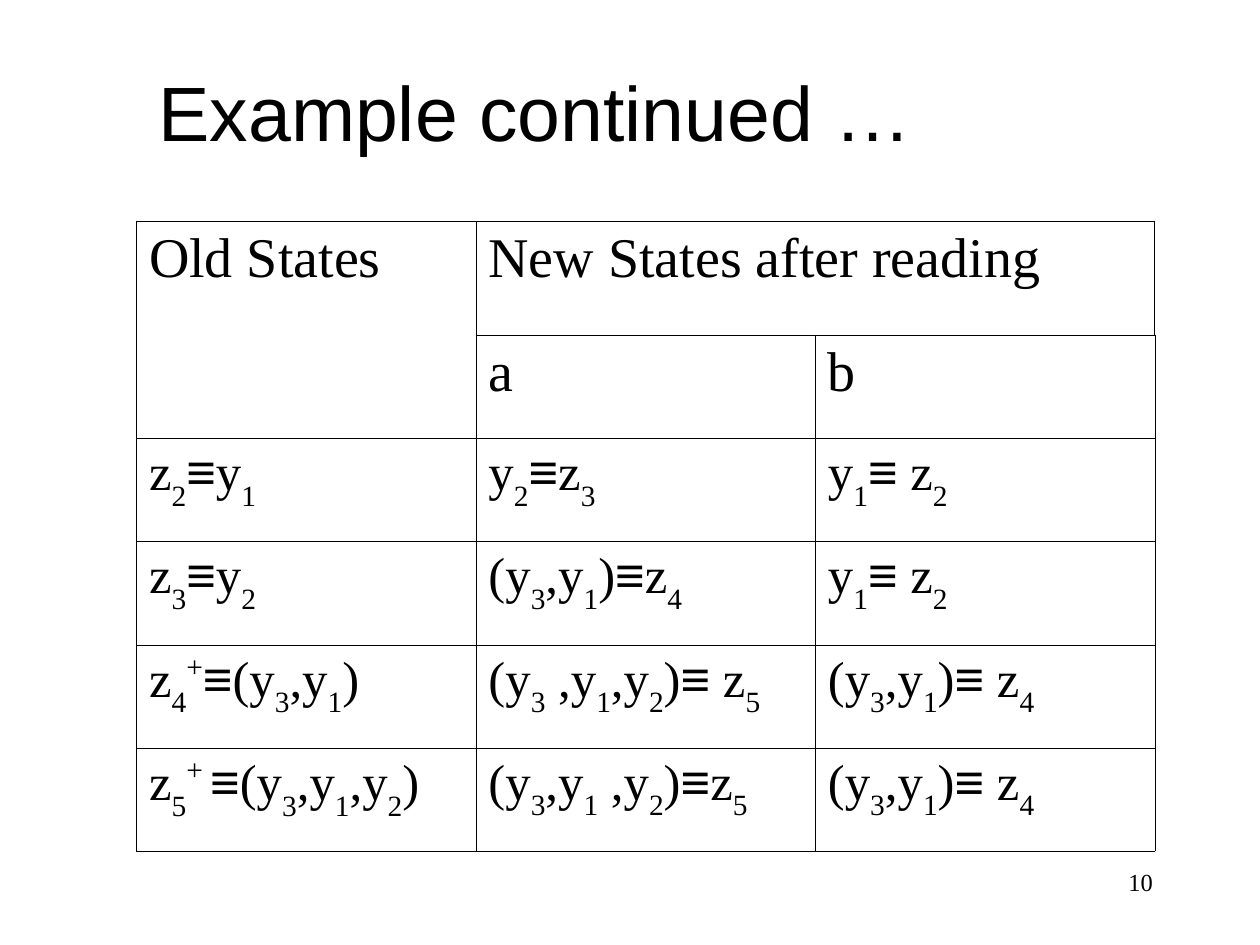
from itertools import product
from lxml.etree import SubElement
from pptx import Presentation
from pptx.dml.color import RGBColor
from pptx.enum.text import MSO_ANCHOR as Anchor, PP_ALIGN as Align
from pptx.oxml.ns import qn
from pptx.util import Cm, Pt

BLACK = RGBColor(0, 0, 0)
SANS, SERIF = "Arial", "Times New Roman"
SUB, SUP = -30000, 40000


def split(text):
    """Cut a formula into [text, baseline, font] parts."""
    parts = []
    for char in text:
        base = SUB if char.isdigit() else SUP if char == "+" else 0
        if char == " " and parts and parts[-1][1] == SUP:
            base = SUP
        font = SANS if char == "≡" else SERIF
        if parts and parts[-1][1:] == [base, font]:
            parts[-1][0] += char
        else:
            parts.append([char, base, font])
    return parts


class Deck:
    def __init__(self, width, height):
        self.prs = Presentation()
        self.prs.slide_width, self.prs.slide_height = Cm(width), Cm(height)
        self.slide = self.prs.slides.add_slide(self.prs.slide_layouts[6])

    def style(self, run, size, font):
        run.font.size, run.font.name = Pt(size), font
        run.font.color.rgb = BLACK

    def text(self, text, box, size, font, align, anchor=Anchor.TOP):
        frame = self.slide.shapes.add_textbox(*map(Cm, box)).text_frame
        frame.word_wrap = True
        frame.vertical_anchor = anchor
        frame.text = text
        para = frame.paragraphs[0]
        para.alignment = align
        self.style(para.runs[0], size, font)

    def border(self, cell, side, width):
        line = SubElement(cell._tc.get_or_add_tcPr(), qn("a:ln" + side),
                          w=str(Pt(width)))
        fill = SubElement(line, qn("a:solidFill"))
        SubElement(fill, qn("a:srgbClr"), val=str(BLACK))

    def formula(self, cell, text, size):
        para = cell.text_frame.paragraphs[0]
        for part, base, font in split(text):
            run = para.add_run()
            run.text = part
            self.style(run, size, font)
            if base:
                run.font._element.set("baseline", str(base))

    def table(self, rows, box, heights, spans, heads, sizes):
        count, cols = len(rows), len(rows[0])
        grid = self.slide.shapes.add_table(count, cols, *map(Cm, box)).table
        grid.first_row = grid.horz_banding = False
        for row, height in zip(grid.rows, heights):
            row.height = Cm(height)
        for first, last in spans:
            grid.cell(*first).merge(grid.cell(*last))
        for r, c in product(range(count), range(cols)):
            cell = grid.cell(r, c)
            outer = {"L": c == 0, "R": c == cols - 1,
                     "T": r == 0, "B": r == count - 1}
            for side, edge in outer.items():
                self.border(cell, side, 0.06 if edge else 0.45)
            cell.fill.background()
            self.formula(cell, rows[r][c], sizes[r >= heads])


deck = Deck(25.4, 19.05)

# Title
deck.text("Example continued …", (0, 0.64, 21.59, 3.18), 44, SANS,
          Align.CENTER, Anchor.MIDDLE)

# State table
STATES = [
    ("Old States", "New States after reading", ""),
    ("", "a", "b"),
    ("z2≡y1", "y2≡z3", "y1≡ z2"),
    ("z3≡y2", "(y3,y1)≡z4", "y1≡ z2"),
    ("z4+≡(y3,y1)", "(y3 ,y1,y2)≡ z5", "(y3,y1)≡ z4"),
    ("z5+ ≡(y3,y1,y2)", "(y3,y1 ,y2)≡z5", "(y3,y1)≡ z4"),
]
deck.table(STATES, (2.75, 4.45, 20.53, 12.7), [2.31] + [2.08] * 5,
           spans=[((0, 0), (1, 0)), ((0, 1), (0, 2))],
           heads=2, sizes=(32, 29))

# Page number
deck.text("10", (18.2, 17.35, 5.29, 1.27), 14, SERIF, Align.RIGHT)

deck.prs.save("out.pptx")
